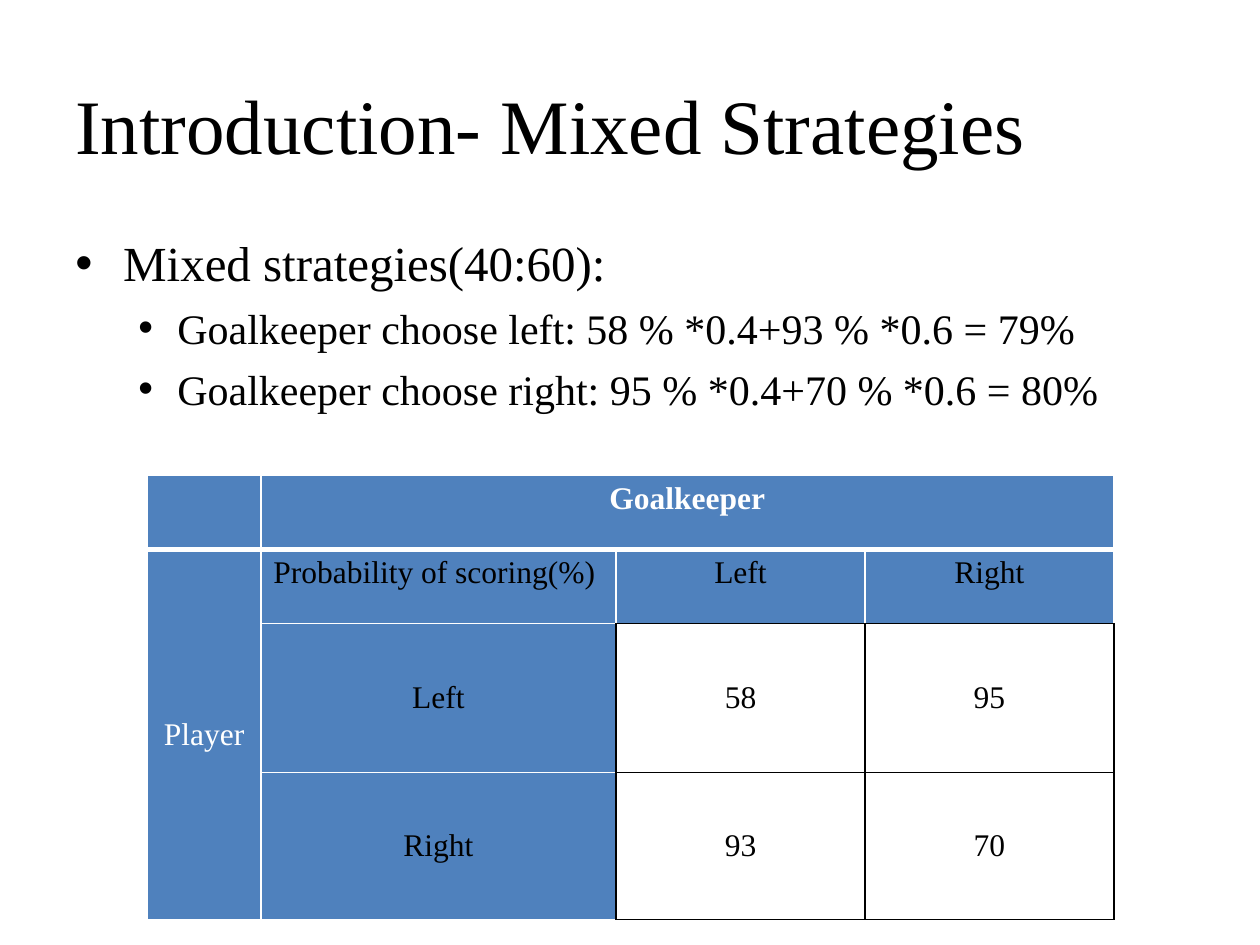
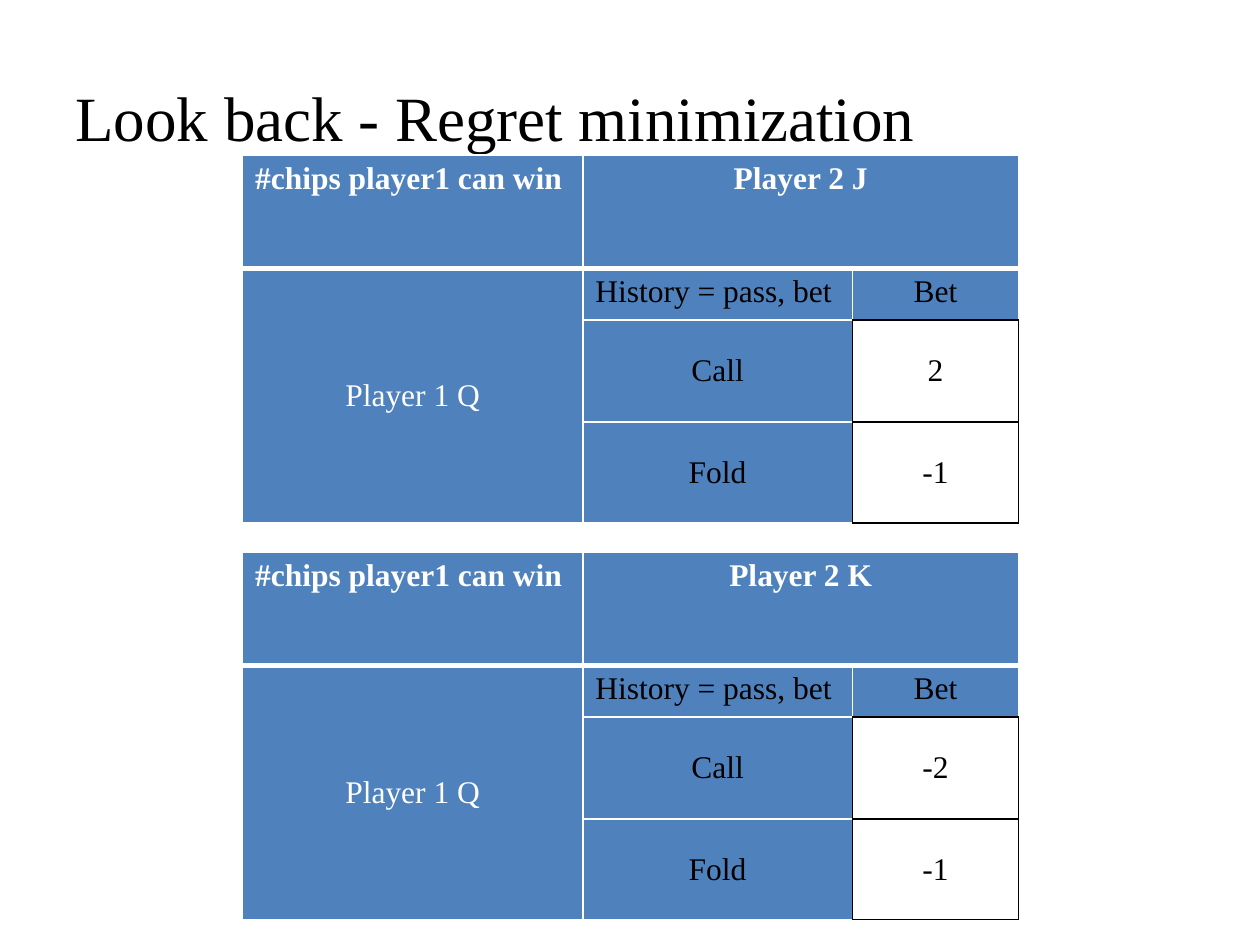
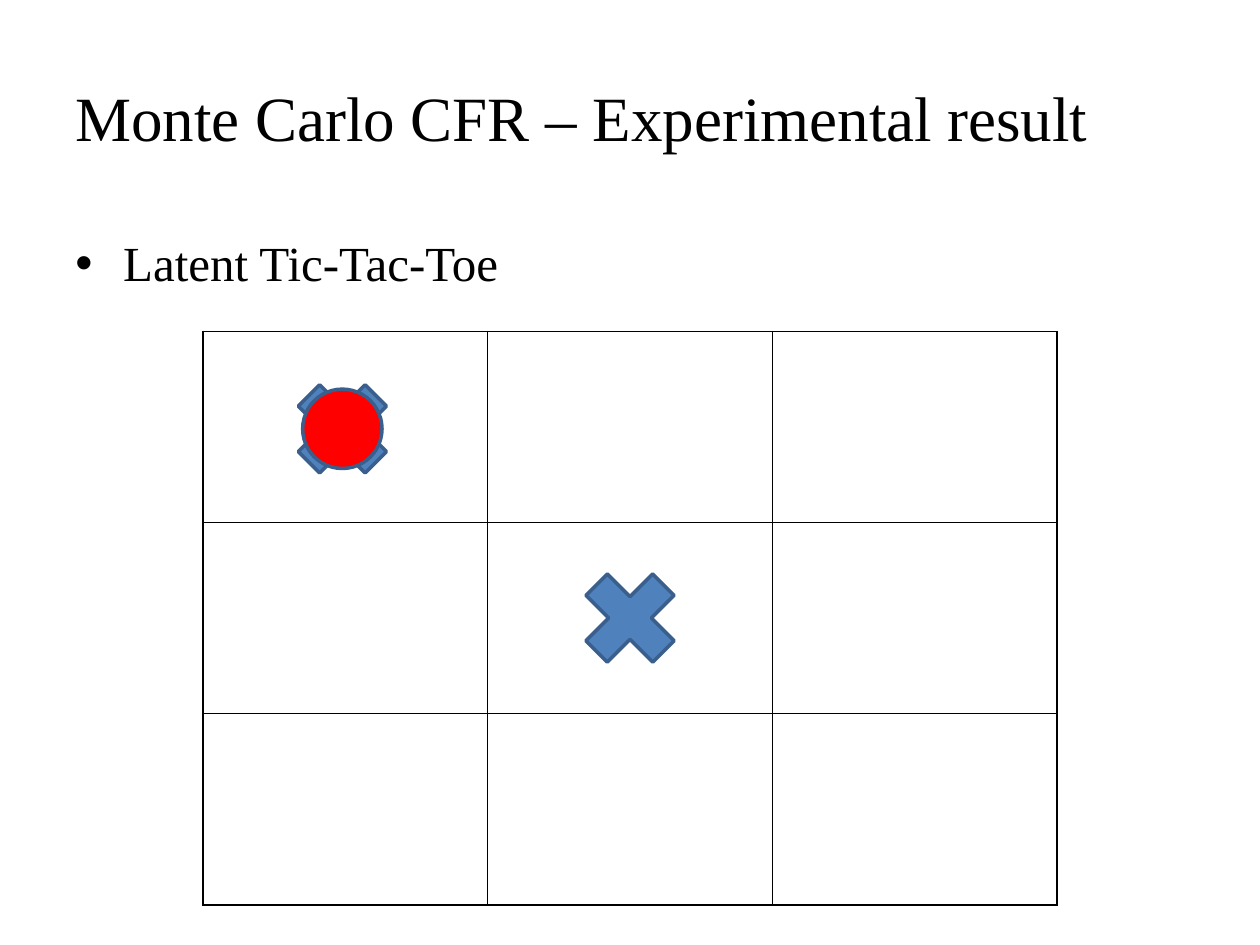
from lxml import etree
from pptx import Presentation, util as u
from pptx.dml.color import RGBColor
from pptx.enum import shapes, text
from pptx.oxml.ns import qn

# The slide is a grid of 100 columns by 75 rows; every length below is in these units.
COLUMNS, ROWS = 100, 75
UNIT = u.Inches(0.1)
FONT = "Times New Roman"
COLORS = {"black": "000000", "white": "FFFFFF", "blue": "4F81BD",
          "outline": "3A5F8C", "red": "FF0000"}
BODY_BOX = (5, 18, 90, 49)
SIDES = {"L": (0, -1), "R": (0, 1), "T": (-1, 0), "B": (1, 0)}
PAYOFF_ROWS = [9, 4.1, 8.1, 8]
PAYOFF_COLUMNS = [27, 21.4, 13.2]


def units(*lengths):
    return [round(length * UNIT) for length in lengths]


def rgb(name):
    return RGBColor.from_string(COLORS[name])


def write(para, words, size=18, color="black", bold=False, align=None, before=0):
    para.alignment = align
    para.space_before = u.Pt(before)
    span = para.add_run()
    span.text = words
    font = span.font
    font.name, font.size, font.bold = FONT, u.Pt(size), bold
    font.color.rgb = rgb(color)


def add_frame(page, box, anchor):
    frame = page.shapes.add_textbox(*units(*box)).text_frame
    frame.word_wrap = True
    frame.vertical_anchor = anchor
    return frame


def add_title(page, words, size=36, top=3):
    frame = add_frame(page, (5, top, 90, 12.5), text.MSO_ANCHOR.MIDDLE)
    write(frame.paragraphs[0], words, size=size)


def set_bullet(para, level):
    margin, hanging = [(0.38, 0.38), (0.81, 0.31)][level]
    props = para._p.get_or_add_pPr()
    props.set("marL", str(u.Inches(margin)))
    props.set("indent", str(-u.Inches(hanging)))
    etree.SubElement(props, qn("a:buFont"), typeface="Arial")
    etree.SubElement(props, qn("a:buChar"), char="•")


def add_bullets(page, items):
    """Place (level, words) pairs as a bulleted list in the body box."""
    frame = add_frame(page, BODY_BOX, text.MSO_ANCHOR.TOP)
    for index, (level, words) in enumerate(items):
        para = frame.add_paragraph() if index else frame.paragraphs[0]
        set_bullet(para, level)
        write(para, words, size=[28, 24][level], before=6 if index else 0)


def set_edge(cell, side, color, width):
    line = etree.SubElement(cell._tc.get_or_add_tcPr(), qn(f"a:ln{side}"),
                            w=str(u.Pt(width)))
    fill = etree.SubElement(line, qn("a:solidFill"))
    etree.SubElement(fill, qn("a:srgbClr"), val=COLORS[color])


def fill_cell(cell, color):
    cell.fill.solid()
    cell.fill.fore_color.rgb = rgb(color)


def add_grid(page, left, top, widths, heights):
    box = units(left, top, sum(widths), sum(heights))
    table = page.shapes.add_table(len(heights), len(widths), *box).table
    table.first_row = table.horz_banding = False
    for column, width in zip(table.columns, units(*widths)):
        column.width = width
    for row, height in zip(table.rows, units(*heights)):
        row.height = height
    return table


def is_payoff(row, column):
    return row >= 2 and column >= 2


def style_payoff_cell(cell, row, column):
    for side, (down, across) in SIDES.items():
        dark = is_payoff(row, column) or is_payoff(row + down, column + across)
        under_header = (row, side) in [(0, "B"), (1, "T")]
        set_edge(cell, side, "black" if dark else "white", 3 if under_header else 1)
    fill_cell(cell, "white" if is_payoff(row, column) else "blue")
    middle = row >= 2 or (row == 1 and column == 0)
    cell.vertical_anchor = text.MSO_ANCHOR.MIDDLE if middle else text.MSO_ANCHOR.TOP


def add_payoff_table(page, left, top, widths, heights, content):
    """Draw a payoff matrix with a merged opponent header and player column."""
    table = add_grid(page, left, top, widths, heights)
    table.cell(0, 1).merge(table.cell(0, len(widths) - 1))
    table.cell(1, 0).merge(table.cell(len(heights) - 1, 0))
    for row, line in enumerate(content):
        for column, words in enumerate(line):
            cell = table.cell(row, column)
            style_payoff_cell(cell, row, column)
            if words:
                align = text.PP_ALIGN.LEFT if row == column < 2 else text.PP_ALIGN.CENTER
                write(cell.text_frame.paragraphs[0], words, bold=row == 0, align=align,
                      color="white" if row == 0 or column == 0 else "black")


def add_mark(page, kind, center, size, color):
    x, y = center
    mark = page.shapes.add_shape(kind, *units(x - size / 2, y - size / 2, size, size))
    mark.shadow.inherit = False
    mark.fill.solid()
    mark.fill.fore_color.rgb = rgb(color)
    mark.line.color.rgb = rgb("outline")
    mark.line.width = u.Pt(2)


def add_board(page, left, top, cell_width, cell_height):
    """Draw a tic-tac-toe board and its marks, placed in cell shares."""
    table = add_grid(page, left, top, [cell_width] * 3, [cell_height] * 3)
    for cell in table.iter_cells():
        for side in SIDES:
            set_edge(cell, side, "black", 1)
        fill_cell(cell, "white")

    cross, nought = shapes.MSO_SHAPE.MATH_MULTIPLY, shapes.MSO_SHAPE.OVAL
    corner, middle = (0.49, 0.51), (1.5, 1.5)
    for kind, (across, down), size, color in [(cross, middle, 10.2, "blue"),
                                              (cross, corner, 10.2, "blue"),
                                              (nought, corner, 6.3, "red")]:
        center = (left + across * cell_width, top + down * cell_height)
        add_mark(page, kind, center, size, color)


def build_mixed_strategies(page):
    add_title(page, "Introduction- Mixed Strategies", size=44, top=3.6)
    add_bullets(page, [
        (0, "Mixed strategies(40:60):"),
        (1, "Goalkeeper choose left: 58 % *0.4+93 % *0.6 = 79%"),
        (1, "Goalkeeper choose right: 95 % *0.4+70 % *0.6 = 80%"),
    ])
    add_payoff_table(page, 11.7, 37.7, [9, 28.2, 19.75, 19.75], [5.9, 5.9, 11.8, 11.7], [
        ["", "Goalkeeper", "", ""],
        ["Player", "Probability of scoring(%)", "Left", "Right"],
        ["", "Left", "58", "95"],
        ["", "Right", "93", "70"],
    ])


def build_regret(page):
    add_title(page, "Look back - Regret minimization")
    for top, card, call in [(12.3, "J", "2"), (43.8, "K", "-2")]:
        add_payoff_table(page, 19.25, top, PAYOFF_COLUMNS, PAYOFF_ROWS, [
            ["#chips player1 can win", f"Player 2 {card}", ""],
            ["Player 1 Q", "History = pass, bet", "Bet"],
            ["", "Call", call],
            ["", "Fold", "-1"],
        ])


def build_experiment(page):
    add_title(page, "Monte Carlo CFR – Experimental result")
    add_bullets(page, [(0, "Latent Tic-Tac-Toe")])
    add_board(page, 16.1, 26.3, 22.6, 15.17)


def main():
    deck = Presentation()
    deck.slide_width, deck.slide_height = units(COLUMNS, ROWS)
    for build in (build_mixed_strategies, build_regret, build_experiment):
        build(deck.slides.add_slide(deck.slide_layouts[6]))
    deck.save("out.pptx")


if __name__ == "__main__":
    main()
